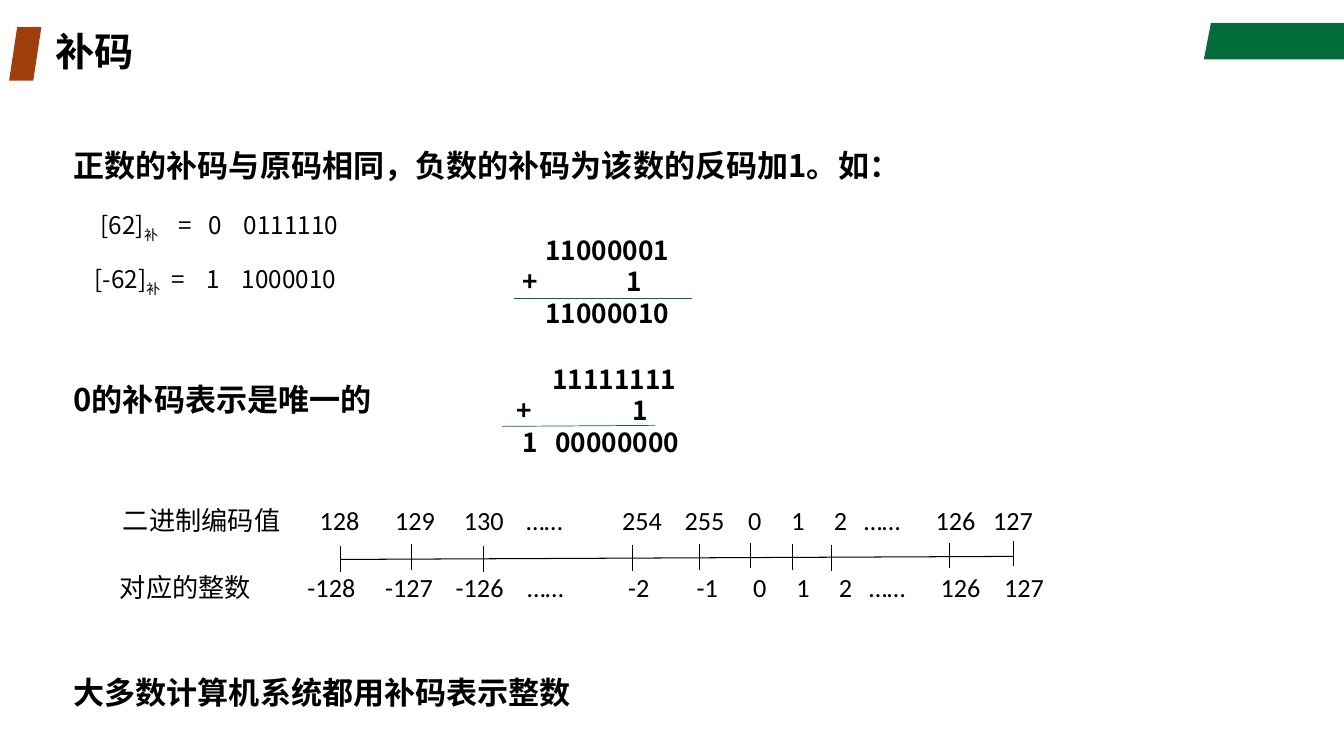
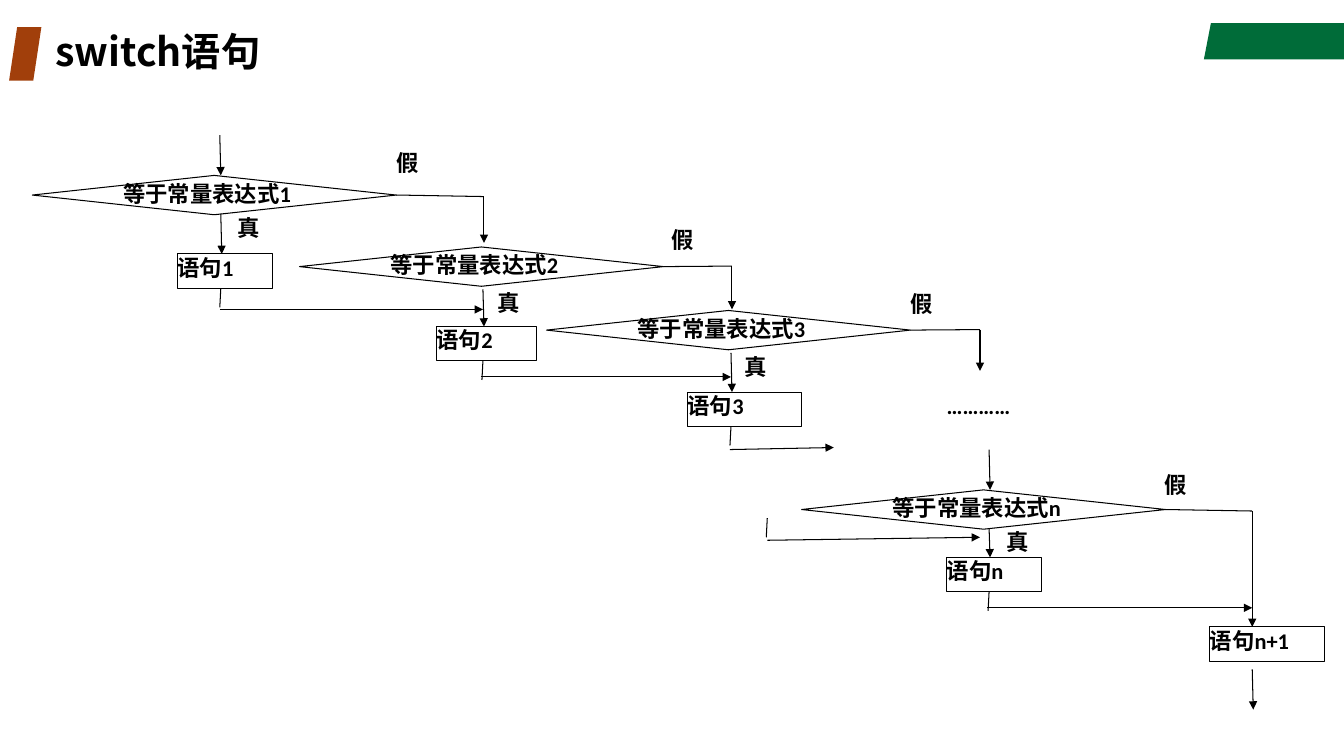
from collections import namedtuple

from lxml.etree import SubElement
from pptx import Presentation
from pptx.dml.color import RGBColor
from pptx.enum.shapes import MSO_CONNECTOR as CONN, MSO_SHAPE as SHAPE
from pptx.enum.text import MSO_ANCHOR as ANCHOR, PP_ALIGN as ALIGN
from pptx.oxml.ns import qn
from pptx.util import Inches, Pt

COLORS = {"black": "000000", "green": "006C39", "rust": "A13F0B"}
CJK = "Noto Sans CJK SC"
LATIN = "Calibri"


class Deck:
    def __init__(self):
        self.prs = Presentation()
        self.prs.slide_width = Inches(13.33)
        self.prs.slide_height = Inches(7.5)
        self.shapes = None

    def color(self, name):
        return RGBColor.from_string(COLORS[name])

    def new_slide(self, title):
        self.shapes = self.prs.slides.add_slide(self.prs.slide_layouts[6]).shapes
        outline = [(12.01, 0.23), (13.33, 0.23), (13.33, 0.59), (11.94, 0.59)]
        points = [(Inches(x), Inches(y)) for x, y in outline]
        builder = self.shapes.build_freeform(*points[0])
        builder.add_line_segments(points[1:], close=True)
        self.solid(builder.convert_to_shape(), "green")
        mark = self.shape(SHAPE.PARALLELOGRAM, 0.09, 0.27, 0.32, 0.53)
        mark.adjustments[0] = 0.25
        self.solid(mark, "rust")
        self.text(title, 0.55, 0.27, 9.25, 0.53, 28, CJK, True,
                  anchor=ANCHOR.MIDDLE, spacing=0.9)

    def solid(self, sp, color):
        sp.shadow.inherit = False
        sp.fill.solid()
        sp.fill.fore_color.rgb = self.color(color)
        sp.line.fill.background()

    def shape(self, kind, left, top, width, height):
        return self.shapes.add_shape(kind, Inches(left), Inches(top),
                                     Inches(width), Inches(height))

    def style(self, r, size, font, bold):
        r.font.size = Pt(size)
        r.font.bold = bold
        r.font.color.rgb = self.color("black")
        r.font.name = font
        SubElement(r._r.get_or_add_rPr(), qn("a:ea"), typeface=CJK)

    def fill_text(self, sp, text, size, font, bold, anchor=ANCHOR.TOP, spacing=None):
        tf = sp.text_frame
        tf.word_wrap = True
        tf.vertical_anchor = anchor
        tf.margin_left = tf.margin_right = tf.margin_top = tf.margin_bottom = 0
        tf.text = text
        for p in tf.paragraphs:
            p.alignment = ALIGN.LEFT
            if spacing:
                p.line_spacing = spacing
            for r in p.runs:
                self.style(r, size, font, bold)
        return tf

    def text(self, text, left, top, width, height, size, font=LATIN, bold=False, **layout):
        sp = self.shapes.add_textbox(Inches(left), Inches(top),
                                     Inches(width), Inches(height))
        return self.fill_text(sp, text, size, font, bold, **layout)

    def tabs(self, p, left, stops):
        tab_list = SubElement(p._p.get_or_add_pPr(), qn("a:tabLst"))
        for x in stops:
            SubElement(tab_list, qn("a:tab"), pos=str(Inches(x - left)), algn="l")

    def add_run(self, p, text, size, font, baseline=0):
        r = p.add_run()
        r.text = text
        self.style(r, size, font, False)
        if baseline:
            r._r.get_or_add_rPr().set("baseline", str(baseline))

    def node(self, kind, text, left, top, width, height, spacing=None):
        sp = self.shape(kind, left, top, width, height)
        sp.shadow.inherit = False
        sp.fill.background()
        sp.line.color.rgb = self.color("black")
        sp.line.width = Pt(0.75)
        self.fill_text(sp, text, 16, LATIN, True, spacing=spacing)
        return sp

    def line(self, x1, y1, x2, y2, color="black", width=0.75, arrow=False):
        cxn = self.shapes.add_connector(CONN.STRAIGHT, Inches(x1), Inches(y1),
                                        Inches(x2), Inches(y2))
        cxn.line.color.rgb = self.color(color)
        cxn.line.width = Pt(width)
        props = cxn._element.spPr
        if arrow:
            SubElement(props.find(qn("a:ln")), qn("a:tailEnd"), type="triangle")
        SubElement(props, qn("a:effectLst"))
        return cxn


def build_complement(deck):
    deck.new_slide("补码")
    statements = [
        ("正数的补码与原码相同，负数的补码为该数的反码加1。如：", 1.64),
        ("0的补码表示是唯一的", 3.96),
        ("大多数计算机系统都用补码表示整数", 6.87),
    ]
    for text, middle in statements:
        deck.text(text, 0.73, middle - 0.25, 11, 0.5, 22.2, CJK, True,
                  anchor=ANCHOR.MIDDLE)

    codes = [
        ("[62]", "\t=\t0\t0111110", 1.0, 2.25, [1.77, 2.07, 2.42]),
        ("[-62]", "\t=\t1\t1000010", 0.94, 2.79, [1.7, 2.05, 2.4]),
    ]
    for number, bits, left, middle, stops in codes:
        tf = deck.text(number, left, middle - 0.2, 3.5, 0.4, 17.3, CJK,
                       anchor=ANCHOR.MIDDLE)
        p = tf.paragraphs[0]
        deck.tabs(p, left, stops)
        deck.add_run(p, "补", 17.3, CJK, -25000)
        deck.add_run(p, bits, 17.3, CJK)

    sums = [
        ("\t11000001\n+\t1\n\t11000010", 5.18, 2.32,
         [[5.41], [6.21], [5.41]], (5.1, 2.96, 6.86, 2.96)),
        ("\t11111111\n+\t1\n\t1\t00000000", 5.12, 3.6,
         [[5.48], [6.27], [5.18, 5.51]], (4.98, 4.23, 6.5, 4.22)),
    ]
    for text, left, top, stops, rule in sums:
        tf = deck.text(text, left, top, 2.3, 0.94, 18.7, CJK, True, spacing=Pt(22.5))
        for p, row_stops in zip(tf.paragraphs, stops):
            deck.tabs(p, left, row_stops)
        deck.line(*rule, color="green", width=0.5)

    scales = [
        ("二进制编码值 128 129 130 …… 254 255 0 1 2 …… 126 127", 1.22, 5,
         [3.17, 3.92, 4.6, 5.22, 6.17, 6.79, 7.42, 7.85, 8.27, 8.57, 9.28, 9.85]),
        ("对应的整数 -128 -127 -126 …… -2 -1 0 1 2 …… 126 127", 1.19, 5.67,
         [3.05, 3.82, 4.52, 5.23, 6.23, 6.91, 7.47, 7.9, 8.32, 8.62, 9.33, 9.96]),
    ]
    for text, left, top, stops in scales:
        tf = deck.text(text.replace(" ", "\t"), left, top, 10.2, 0.35, 18.7)
        deck.tabs(tf.paragraphs[0], left, stops)

    deck.line(3.38, 5.55, 10.05, 5.52)
    ticks = [(3.38, 5.42), (4.08, 5.4), (4.8, 5.42), (6.27, 5.41), (6.94, 5.4),
             (7.44, 5.39), (7.86, 5.4), (8.25, 5.41), (9.42, 5.39), (10.05, 5.37)]
    for x, top in ticks:
        deck.line(x, top, x, top + 0.25)


Stage = namedtuple("Stage", "name axis test box yes no turn drop_end merge")
STAGES = [
    Stage("1", 2.19, (0.32, 1.74), (1.76, 2.52, 0.94), (2.36, 2.12), (3.93, 1.48),
          (4.8, 1.95), 2.41, (2.18, 3.07, 4.79, 3.07)),
    Stage("2", 4.79, (2.97, 2.45), (4.33, 3.24, 0.99), (4.93, 2.87), (6.66, 2.24),
          (7.26, 2.64), 3.07, (4.77, 3.74, 7.25, 3.74)),
    Stage("3", 7.25, (5.42, 3.08), (6.82, 3.89, 1.13), (7.38, 3.5), (9.03, 2.88),
          (9.72, 3.27), 3.68, (7.24, 4.46, 8.27, 4.44)),
    Stage("n", 9.81, (7.95, 4.86), (9.39, 5.53, 0.94), (9.98, 5.24), (11.55, 4.67),
          (12.42, 5.07), 6.22, (9.79, 6.03, 12.42, 6.03)),
]


def build_switch(deck):
    deck.new_slide("switch语句")
    box_height = 0.34
    for s in STAGES:
        test = deck.node(SHAPE.FLOWCHART_DECISION, "等于常量表达式" + s.name,
                         *s.test, 3.61, 0.39, spacing=0.8)
        left, top, width = s.box
        deck.node(SHAPE.RECTANGLE, "语句" + s.name, left, top, width, box_height)
        for label, place in (("真", s.yes), ("假", s.no)):
            deck.text(label, *place, 0.35, 0.34, 16, bold=True)
        deck.line(s.axis, s.yes[1], s.axis + 0.01, top, arrow=True)
        branch = deck.line(s.test[0] + 3.61, s.turn[1], *s.turn)
        branch.begin_connect(test, 3)
        deck.line(*s.turn, s.turn[0], s.drop_end, arrow=True)
        bottom = top + box_height
        deck.line(s.axis, bottom, s.axis - 0.01, bottom + 0.19)
        deck.line(*s.merge, arrow=True)

    deck.node(SHAPE.RECTANGLE, "语句n+1", 12, 6.22, 1.14, box_height)
    deck.text("…………", 9.39, 3.89, 2.46, 0.4, 16, bold=True)
    for x, top in ((2.18, 1.34), (9.81, 4.46), (12.42, 6.64)):
        deck.line(x, top, x + 0.01, top + 0.4, arrow=True)
    deck.line(7.61, 5.14, 7.6, 5.33)
    deck.line(7.61, 5.36, 9.72, 5.33, arrow=True)


def main():
    deck = Deck()
    build_complement(deck)
    build_switch(deck)
    deck.prs.save("out.pptx")


if __name__ == "__main__":
    main()
